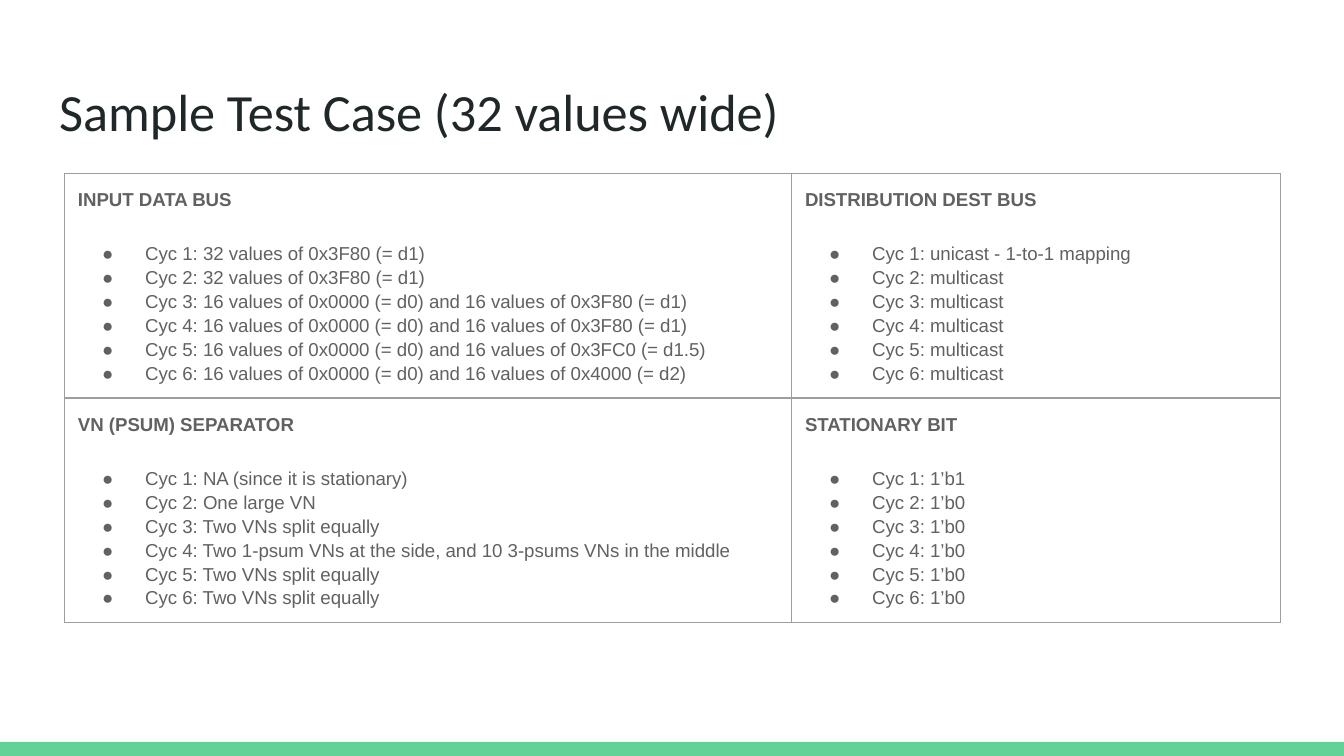
import pptx
import pptx.dml.color
import pptx.enum.shapes
import pptx.enum.text
import pptx.oxml
import pptx.util
from pptx.util import Inches

GREY = "616161"
BORDER = "9E9E9E"
NAMESPACE = 'xmlns:a="http://schemas.openxmlformats.org/drawingml/2006/main"'


def color(value):
    return pptx.dml.color.RGBColor.from_string(value)


def add_span(para, text, font, size, value, bold=False):
    """Add one formatted run of text to a paragraph."""
    span = para.add_run()
    span.text = text
    span.font.name = font
    span.font.size = pptx.util.Pt(size)
    span.font.bold = bold
    span.font.color.rgb = color(value)


# Widescreen page, 16 to 9
deck = pptx.Presentation()
deck.slide_width = Inches(10)
deck.slide_height = deck.slide_width * 9 // 16
page = deck.slides.add_slide(deck.slide_layouts[5])

# Green band along the bottom edge
band_top = Inches(5.52)
band = page.shapes.add_shape(
    pptx.enum.shapes.MSO_SHAPE.RECTANGLE,
    0, band_top, deck.slide_width, deck.slide_height - band_top)
band.shadow.inherit = False
band.fill.solid()
band.fill.fore_color.rgb = color("63D297")
band.line.fill.background()

# Title
title = page.shapes.title
title.left, title.top = Inches(0.34), Inches(0.49)
title.width, title.height = Inches(9.32), Inches(0.63)
frame = title.text_frame
frame.margin_left = frame.margin_right = Inches(0.1)
frame.margin_top = frame.margin_bottom = Inches(0.1)
frame.vertical_anchor = pptx.enum.text.MSO_ANCHOR.TOP
frame.auto_size = pptx.enum.text.MSO_AUTO_SIZE.NONE
frame.paragraphs[0].alignment = pptx.enum.text.PP_ALIGN.LEFT
add_span(frame.paragraphs[0], "Sample Test Case (32 values wide)", "Calibri", 28, "202729")

# Each signal has a heading and one entry per cycle
signals = [
    [
        ("INPUT DATA BUS", [
            "32 values of 0x3F80 (= d1)",
            "32 values of 0x3F80 (= d1)",
            "16 values of 0x0000 (= d0) and 16 values of 0x3F80 (= d1)",
            "16 values of 0x0000 (= d0) and 16 values of 0x3F80 (= d1)",
            "16 values of 0x0000 (= d0) and 16 values of 0x3FC0 (= d1.5)",
            "16 values of 0x0000 (= d0) and 16 values of 0x4000 (= d2)",
        ]),
        ("DISTRIBUTION DEST BUS", ["unicast - 1-to-1 mapping"] + ["multicast"] * 5),
    ],
    [
        ("VN (PSUM) SEPARATOR", [
            "NA (since it is stationary)",
            "One large VN",
            "Two VNs split equally",
            "Two 1-psum VNs at the side, and 10 3-psums VNs in the middle",
            "Two VNs split equally",
            "Two VNs split equally",
        ]),
        ("STATIONARY BIT", ["1’b1"] + ["1’b0"] * 5),
    ],
]
column_widths = [5.41, 3.64]
row_height = 1.67

table = page.shapes.add_table(
    2, 2, Inches(0.48), Inches(1.29), Inches(sum(column_widths)), Inches(2 * row_height)).table
table.first_row = False
table.horz_banding = False
for column, width in zip(table.columns, column_widths):
    column.width = Inches(width)

for row, row_signals in zip(table.rows, signals):
    row.height = Inches(row_height)
    for cell, (heading, cycles) in zip(row.cells, row_signals):
        cell.margin_left = cell.margin_right = Inches(0.1)
        cell.margin_top = cell.margin_bottom = Inches(0.1)
        properties = cell._tc.get_or_add_tcPr()
        for side in ("lnL", "lnR", "lnT", "lnB"):
            properties.append(pptx.oxml.parse_xml(
                f'<a:{side} {NAMESPACE} w="{pptx.util.Pt(0.75)}"><a:solidFill>'
                f'<a:srgbClr val="{BORDER}"/></a:solidFill></a:{side}>'))
        cell.fill.background()

        para = cell.text_frame.paragraphs[0]
        para.line_spacing = 1.15
        add_span(para, heading, "Arial", 10, GREY, bold=True)
        for number, entry in enumerate(cycles, start=1):
            para = cell.text_frame.add_paragraph()
            para.line_spacing = 1.15
            para.space_before = pptx.util.Pt(16 if number == 1 else 0)
            bullet = para._p.get_or_add_pPr()
            bullet.set("marL", str(Inches(0.5)))
            bullet.set("indent", str(Inches(-0.32)))
            for mark in (f'<a:buClr {NAMESPACE}><a:srgbClr val="{GREY}"/></a:buClr>',
                         f'<a:buFont {NAMESPACE} typeface="Arial"/>',
                         f'<a:buChar {NAMESPACE} char="●"/>'):
                bullet.append(pptx.oxml.parse_xml(mark))
            add_span(para, f"Cyc {number}: {entry}", "Arial", 10, GREY)

deck.save("out.pptx")
